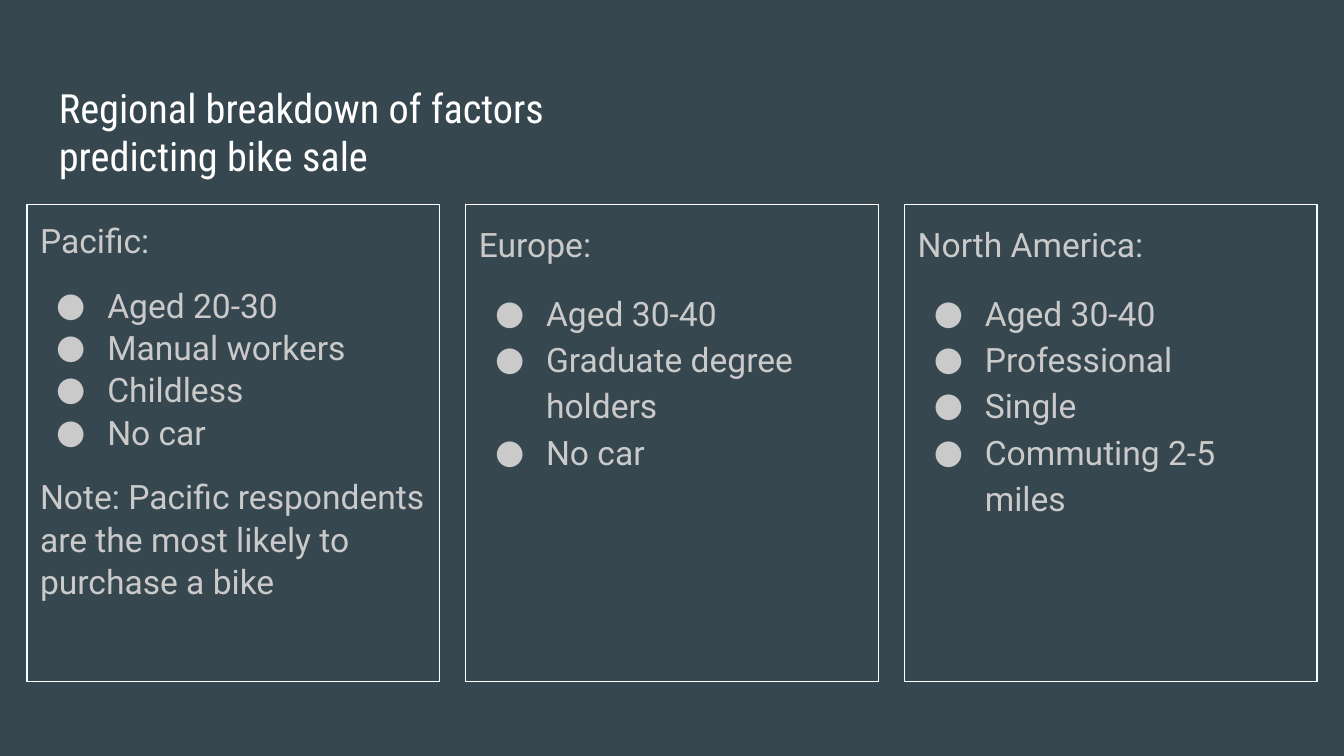
from lxml import etree
from pptx import Presentation
from pptx import util as u
from pptx.dml.color import RGBColor
from pptx.enum import shapes, text
from pptx.oxml.ns import qn

# Content
TITLE = "Regional breakdown of factors predicting bike sale"
REGIONS = [
    {
        "name": "Pacific:",
        "factors": ["Aged 20-30", "Manual workers", "Childless", "No car"],
        "note": "Note: Pacific respondents are the most likely to purchase a bike",
        "line_spacing": 1.05,
    },
    {
        "name": "Europe:",
        "factors": ["Aged 30-40", "Graduate degree holders", "No car"],
        "line_spacing": 1.15,
    },
    {
        "name": "North America:",
        "factors": ["Aged 30-40", "Professional", "Single", "Commuting 2-5 miles"],
        "line_spacing": 1.15,
    },
]

THEME = {
    "background": RGBColor.from_string("37474F"),
    "title": RGBColor.from_string("FFFFFF"),
    "body": RGBColor.from_string("CACACA"),
    "border": RGBColor.from_string("FFFFFF"),
    "title_font": "Roboto Condensed",
    "body_font": "Roboto",
    "title_size": 21.6,
    "body_size": 18,
    "border_width": 0.75,
    "paragraph_gap": 12,
}

# Layout, in inches; the slide is 16:9
SLIDE_WIDTH = 10
SLIDE_HEIGHT = SLIDE_WIDTH * 9 / 16
MARGIN, INSET = 0.2, 0.1
PANEL_TOP, PANEL_WIDTH, PANEL_HEIGHT = 1.52, 3.07, 3.55
PANEL_PITCH = (SLIDE_WIDTH - 2 * MARGIN - PANEL_WIDTH) / (len(REGIONS) - 1)
BULLET_INDENT, BULLET_HANG = 0.5, 0.38


def prepare_frame(shape, anchor):
    frame = shape.text_frame
    frame.word_wrap = True
    frame.auto_size = text.MSO_AUTO_SIZE.NONE
    frame.vertical_anchor = anchor
    frame.margin_left = frame.margin_right = u.Inches(INSET)
    frame.margin_top = frame.margin_bottom = u.Inches(INSET)
    return frame


def add_bullet(paragraph, font, color):
    properties = paragraph._p.get_or_add_pPr()
    properties.set("marL", str(u.Inches(BULLET_INDENT)))
    properties.set("indent", str(-u.Inches(BULLET_HANG)))
    bullet_color = etree.SubElement(properties, qn("a:buClr"))
    etree.SubElement(bullet_color, qn("a:srgbClr"), val=str(color))
    etree.SubElement(properties, qn("a:buFont"), typeface=font)
    etree.SubElement(properties, qn("a:buChar"), char="●")


def write(frame, content, *, font=THEME["body_font"], size=THEME["body_size"],
          color=THEME["body"], line_spacing=1.0, space_before=0, bullet=False):
    """Fill the empty first paragraph, or append a new one."""
    paragraph = frame.paragraphs[-1]
    if paragraph.runs:
        paragraph = frame.add_paragraph()
    paragraph.alignment = text.PP_ALIGN.LEFT
    paragraph.line_spacing = line_spacing
    paragraph.space_before = u.Pt(space_before)
    if bullet:
        add_bullet(paragraph, font, color)
    run = paragraph.add_run()
    run.text = content
    run.font.name = font
    run.font.size = u.Pt(size)
    run.font.color.rgb = color


def add_panel(slide, left, region):
    panel = slide.shapes.add_shape(
        shapes.MSO_SHAPE.RECTANGLE, u.Inches(left), u.Inches(PANEL_TOP),
        u.Inches(PANEL_WIDTH), u.Inches(PANEL_HEIGHT))
    panel.shadow.inherit = False
    panel.fill.background()
    panel.line.color.rgb = THEME["border"]
    panel.line.width = u.Pt(THEME["border_width"])

    frame = prepare_frame(panel, text.MSO_ANCHOR.TOP)
    spacing, gap = region["line_spacing"], THEME["paragraph_gap"]
    write(frame, region["name"], line_spacing=spacing)
    for index, factor in enumerate(region["factors"]):
        write(frame, factor, line_spacing=spacing, bullet=True,
              space_before=0 if index else gap)
    if "note" in region:
        write(frame, region["note"], line_spacing=spacing, space_before=gap)


def main():
    presentation = Presentation()
    presentation.slide_width = u.Inches(SLIDE_WIDTH)
    presentation.slide_height = u.Inches(SLIDE_HEIGHT)
    slide = presentation.slides.add_slide(presentation.slide_layouts[6])
    slide.background.fill.solid()
    slide.background.fill.fore_color.rgb = THEME["background"]

    # Title
    title = slide.shapes.add_textbox(
        u.Inches(0.34), u.Inches(0.61), u.Inches(4.16), u.Inches(0.83))
    write(prepare_frame(title, text.MSO_ANCHOR.BOTTOM), TITLE,
          font=THEME["title_font"], size=THEME["title_size"], color=THEME["title"])

    # Region panels
    for column, region in enumerate(REGIONS):
        add_panel(slide, MARGIN + column * PANEL_PITCH, region)

    presentation.save("out.pptx")


if __name__ == "__main__":
    main()
